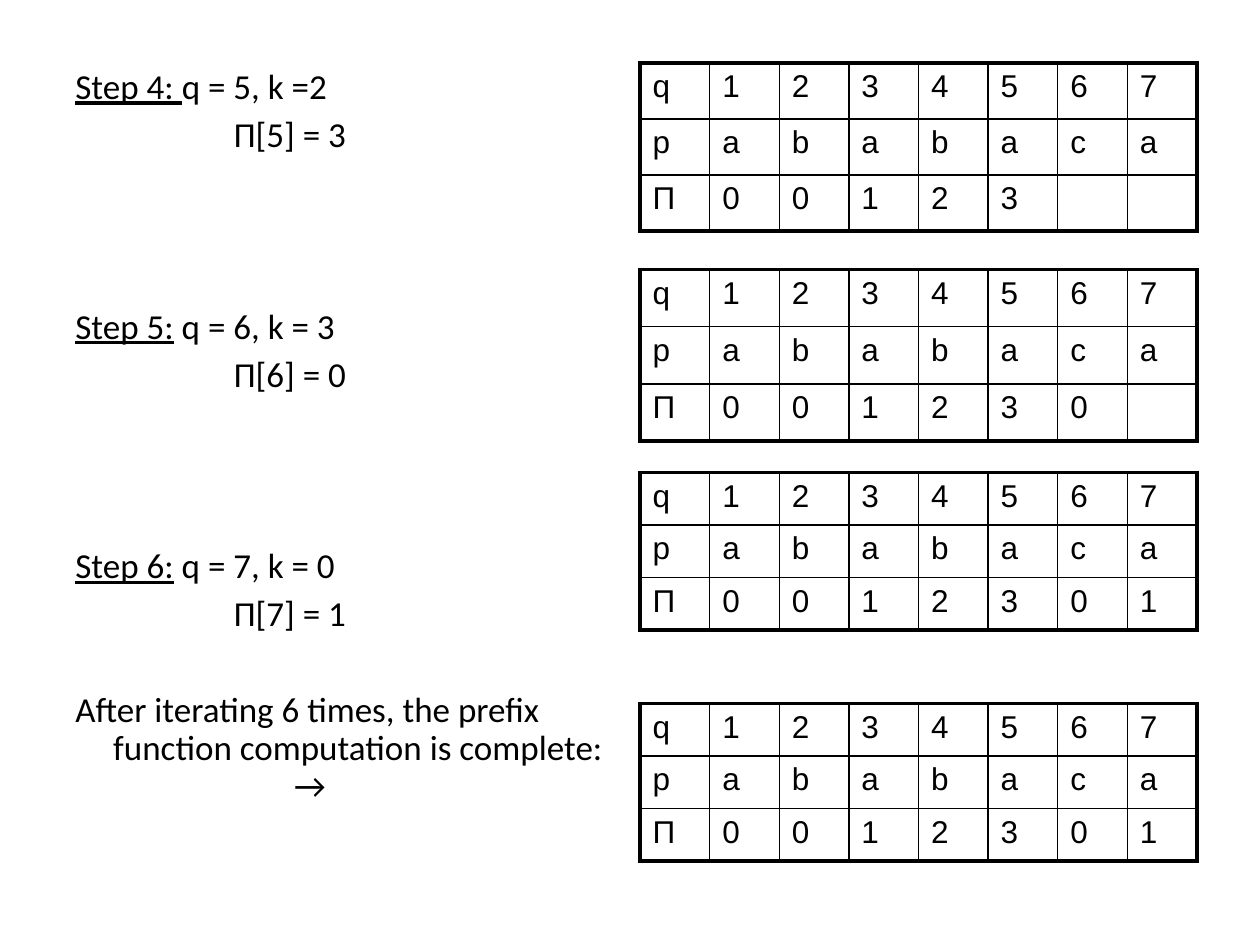
from lxml import etree
from pptx import Presentation
from pptx.dml.color import RGBColor
from pptx.oxml import ns
from pptx.util import Pt

HUES = {"ink": "000000", "page": "FFFFFF"}
THIN, THICK = 1, 2.25
LINE, GAP = 21.6, 5.8

STEPS = [
    ("Step 4: ", "q = 5, k =2", "Π[5] = 3"),
    ("Step 5:", " q = 6, k = 3", "Π[6] = 0"),
    ("Step 6:", " q = 7, k = 0", "Π[7] = 1"),
]
CLOSE = "After iterating 6 times, the prefix function computation is complete:"
PREFIX = "0012301"
GRIDS = [(36, 96, 5), (154, 98, 6), (270, 90, 7), (402, 90, 7)]


def add_run(para, words, face, size, under=False):
    run = para.add_run()
    run.text = words
    run.font.name = face
    run.font.size = Pt(size)
    run.font.underline = under
    run.font.color.rgb = RGBColor.from_string(HUES["ink"])


def add_line(frame, parts, left, hang=0, blanks=0, gap=GAP):
    first = not frame.paragraphs[0].runs
    para = frame.paragraphs[0] if first else frame.add_paragraph()
    props = para._p.get_or_add_pPr()
    props.set("marL", str(Pt(left)))
    props.set("indent", str(Pt(-hang)))
    para.line_spacing = 0.9
    para.space_before = Pt(0 if first else gap + blanks * (LINE + GAP))
    for words, under in parts:
        add_run(para, words, "Calibri", 20, under)


def add_steps(slide, left, top, width, height):
    frame = slide.shapes.add_textbox(Pt(left), Pt(top), Pt(width), Pt(height)).text_frame
    frame.word_wrap = True
    for label, state, result in STEPS:
        add_line(frame, [(label, True), (state, False)], 21.6, 21.6, blanks=3)
        add_line(frame, [(result, False)], 90.5)
    add_line(frame, [(CLOSE, False)], 21.6, 21.6, blanks=1)
    add_line(frame, [("→", False)], 125, gap=0)


def set_edge(cell, side, width):
    props = cell._tc.get_or_add_tcPr()
    edge = etree.SubElement(props, ns.qn(f"a:ln{side}"), w=str(Pt(width)))
    fill = etree.SubElement(edge, ns.qn("a:solidFill"))
    etree.SubElement(fill, ns.qn("a:srgbClr"), val=HUES["ink"])


def add_grid(slide, left, top, width, height, known):
    rows = ["q1234567", "pababaca", "Π" + PREFIX[:known]]
    high, wide = len(rows), len(rows[0])
    table = slide.shapes.add_table(
        high, wide, Pt(left), Pt(top), Pt(width), Pt(height)).table
    table.first_row = table.horz_banding = False
    for col in table.columns:
        col.width = Pt(width / wide)
    for r, row in enumerate(rows):
        table.rows[r].height = Pt(height / high)
        for c, mark in enumerate(row.ljust(wide)):
            cell = table.cell(r, c)
            outer = {"L": c == 0, "R": c == wide - 1, "T": r == 0, "B": r == high - 1}
            for side, edge in outer.items():
                set_edge(cell, side, THICK if edge else THIN)
            cell.fill.background()
            if mark.strip():
                add_run(cell.text_frame.paragraphs[0], mark, "Arial", 18)


def main():
    deck = Presentation()
    deck.slide_width, deck.slide_height = Pt(720), Pt(540)
    slide = deck.slides.add_slide(deck.slide_layouts[6])
    slide.background.fill.solid()
    slide.background.fill.fore_color.rgb = RGBColor.from_string(HUES["page"])
    add_steps(slide, 36, 36, 318.25, 446.5)
    for top, height, known in GRIDS:
        add_grid(slide, 365.75, top, 318.25, height, known)
    deck.save("out.pptx")


if __name__ == "__main__":
    main()
